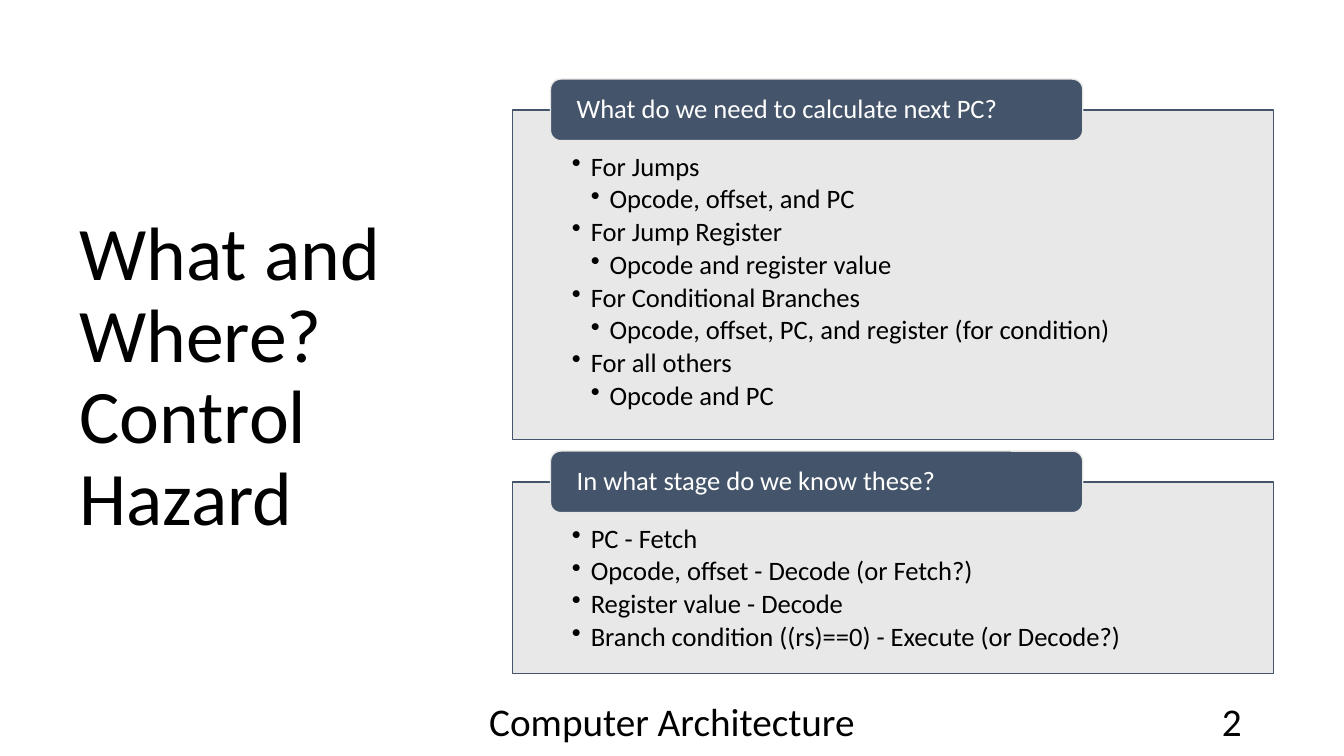
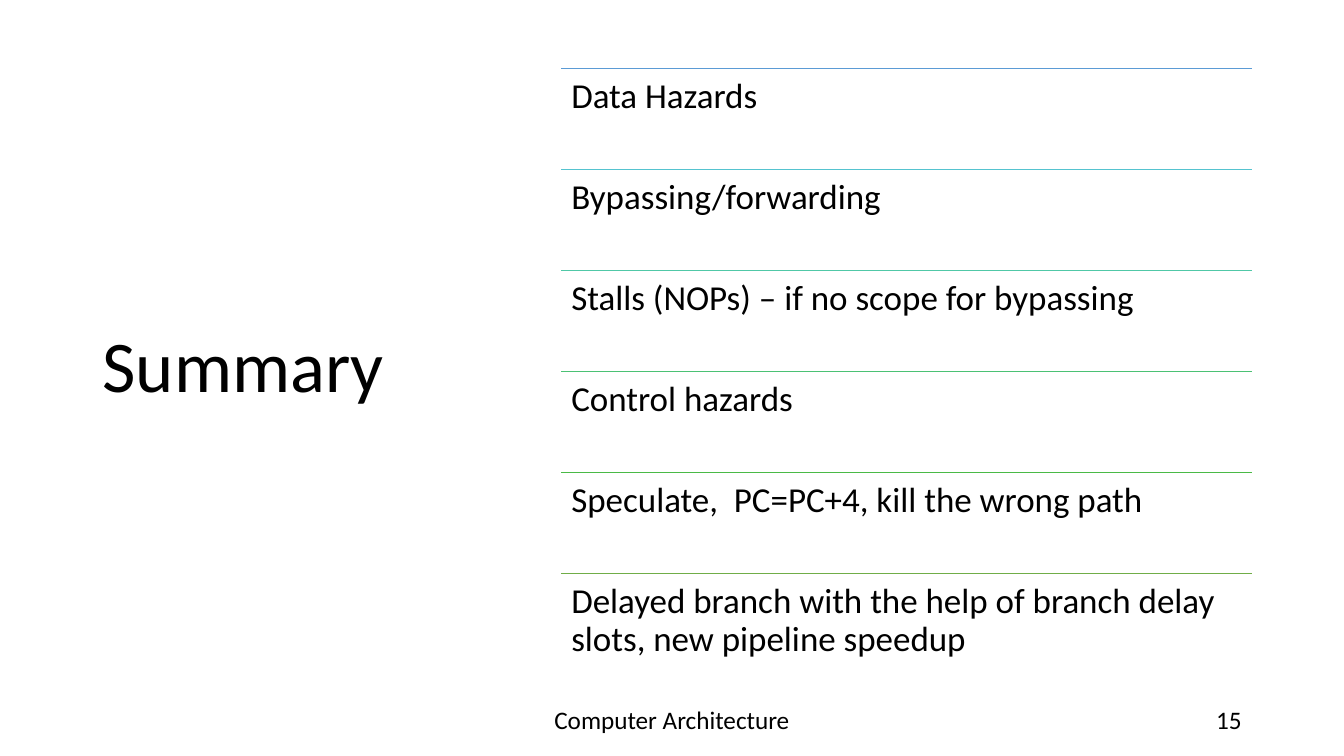
from lxml.etree import SubElement
from pptx import Presentation
from pptx.dml.color import RGBColor
from pptx.enum.shapes import MSO_CONNECTOR, MSO_SHAPE
from pptx.enum.text import MSO_ANCHOR, PP_ALIGN
from pptx.oxml.ns import qn
from pptx.util import Pt

FONT = "Calibri"
BLACK, WHITE, NAVY, GREY = "000000", "FFFFFF", "44546A", "E7E6E6"
TOP, MID = MSO_ANCHOR.TOP, MSO_ANCHOR.MIDDLE
LEFT, MID_X, RIGHT = PP_ALIGN.LEFT, PP_ALIGN.CENTER, PP_ALIGN.RIGHT
STEP = 13.5  # bullet indent per level

color = RGBColor.from_string


def write(shape, lines, size, ink=BLACK, align=LEFT, anchor=MID,
          inset=(7.2, 3.6, 7.2, 3.6), after=0, lead=0.9):
    """Fill a shape with (level, text) lines; level 0 has no bullet."""
    frame = shape.text_frame
    frame.word_wrap = True
    frame.vertical_anchor = anchor
    (frame.margin_left, frame.margin_top,
     frame.margin_right, frame.margin_bottom) = map(Pt, inset)
    for i, (level, text) in enumerate(lines):
        para = frame.add_paragraph() if i else frame.paragraphs[0]
        para.alignment = align
        para.line_spacing = lead
        para.space_after = Pt(after)
        if level:
            para.level = level
            props = para._p.get_or_add_pPr()
            props.set("marL", str(Pt(STEP * level)))
            props.set("indent", str(Pt(-STEP)))
            SubElement(props, qn("a:buChar"), char="•")
        run = para.add_run()
        run.text = text
        run.font.name = FONT
        run.font.size = Pt(size)
        run.font.color.rgb = color(ink)


def block(slide, kind, box, fill, edge):
    """Add a filled, outlined shape without shadow."""
    shape = slide.shapes.add_shape(kind, *map(Pt, box))
    shape.shadow.inherit = False
    shape.fill.solid()
    shape.fill.fore_color.rgb = color(fill)
    shape.line.color.rgb = color(edge)
    shape.line.width = Pt(1)
    return shape


deck = Presentation()
deck.slide_width, deck.slide_height = Pt(960), Pt(540)

# Title and footer of each slide: title, box, size, page, footer size, leading
pages = [
    ("What and Where? Control Hazard", (49.7, 50.4, 269.3, 440), 54, "2", 28, 1.0),
    ("Summary", (66.2, 43.9, 265.7, 438.5), 52, "15", 18, 0.9),
]
slides = []
for title, place, size, page, small, lead in pages:
    slide = deck.slides.add_slide(deck.slide_layouts[6])
    slides.append(slide)
    write(slide.shapes.add_textbox(*map(Pt, place)), [(0, title)], size)
    for text, x, width, align in (("Computer Architecture", 318, 324, MID_X),
                                  (page, 678, 216, RIGHT)):
        foot = slide.shapes.add_textbox(Pt(x), Pt(500.5), Pt(width), Pt(28.8))
        write(foot, [(0, text)], small, align=align, after=6, lead=lead)

hazard, summary = slides

# Question panels, each with a heading tab over its top edge
panels = [
    ("What do we need to calculate next PC?", 78.5, 235.5, [
        (1, "For Jumps"),
        (2, "Opcode, offset, and PC"),
        (1, "For Jump Register"),
        (2, "Opcode and register value"),
        (1, "For Conditional Branches"),
        (2, "Opcode, offset, PC, and register (for condition)"),
        (1, "For all others"),
        (2, "Opcode and PC"),
    ]),
    ("In what stage do we know these?", 344.2, 136.8, [
        (1, "PC - Fetch"),
        (1, "Opcode, offset - Decode (or Fetch?)"),
        (1, "Register value - Decode"),
        (1, "Branch condition ((rs)==0) - Execute (or Decode?)"),
    ]),
]
for head, y, height, lines in panels:
    panel = block(hazard, MSO_SHAPE.RECTANGLE, (366, y, 543.6, height), GREY, NAVY)
    tint = panel.fill._xPr.find(qn("a:solidFill"))[0]
    SubElement(tint, qn("a:alpha"), val="90000")
    write(panel, lines, 19, anchor=TOP, inset=(42.5, 31, 42.5, 10.8), after=2.85)
    tab = block(hazard, MSO_SHAPE.ROUNDED_RECTANGLE,
                (393.2, y - 22, 380.2, 44), NAVY, GREY)
    write(tab, [(0, head)], 19, WHITE, inset=(16.6, 0, 16.6, 0))

# Summary list, one coloured rule above each row
rows = [
    ("Data Hazards", "5B9BD5"),
    ("Bypassing/forwarding", "55C3CF"),
    ("Stalls (NOPs) – if no scope for bypassing", "50C8A7"),
    ("Control hazards", "4BC174"),
    ("Speculate,  PC=PC+4, kill the wrong path", "4ABA46"),
    ("Delayed branch with the help of branch delay slots, new pipeline speedup",
     "70AD47"),
]
x, width, pitch = 401, 493.2, 72.15
for i, (text, hue) in enumerate(rows):
    y = 49 + i * pitch
    rule = summary.shapes.add_connector(
        MSO_CONNECTOR.STRAIGHT, Pt(x), Pt(y), Pt(x + width), Pt(y))
    rule.line.color.rgb = color(hue)
    rule.line.width = Pt(1)
    SubElement(rule._element.spPr, qn("a:effectLst"))
    row = summary.shapes.add_textbox(Pt(x), Pt(y), Pt(width), Pt(pitch))
    write(row, [(0, text)], 25, anchor=TOP, inset=(7.2,) * 4)

deck.save("out.pptx")
